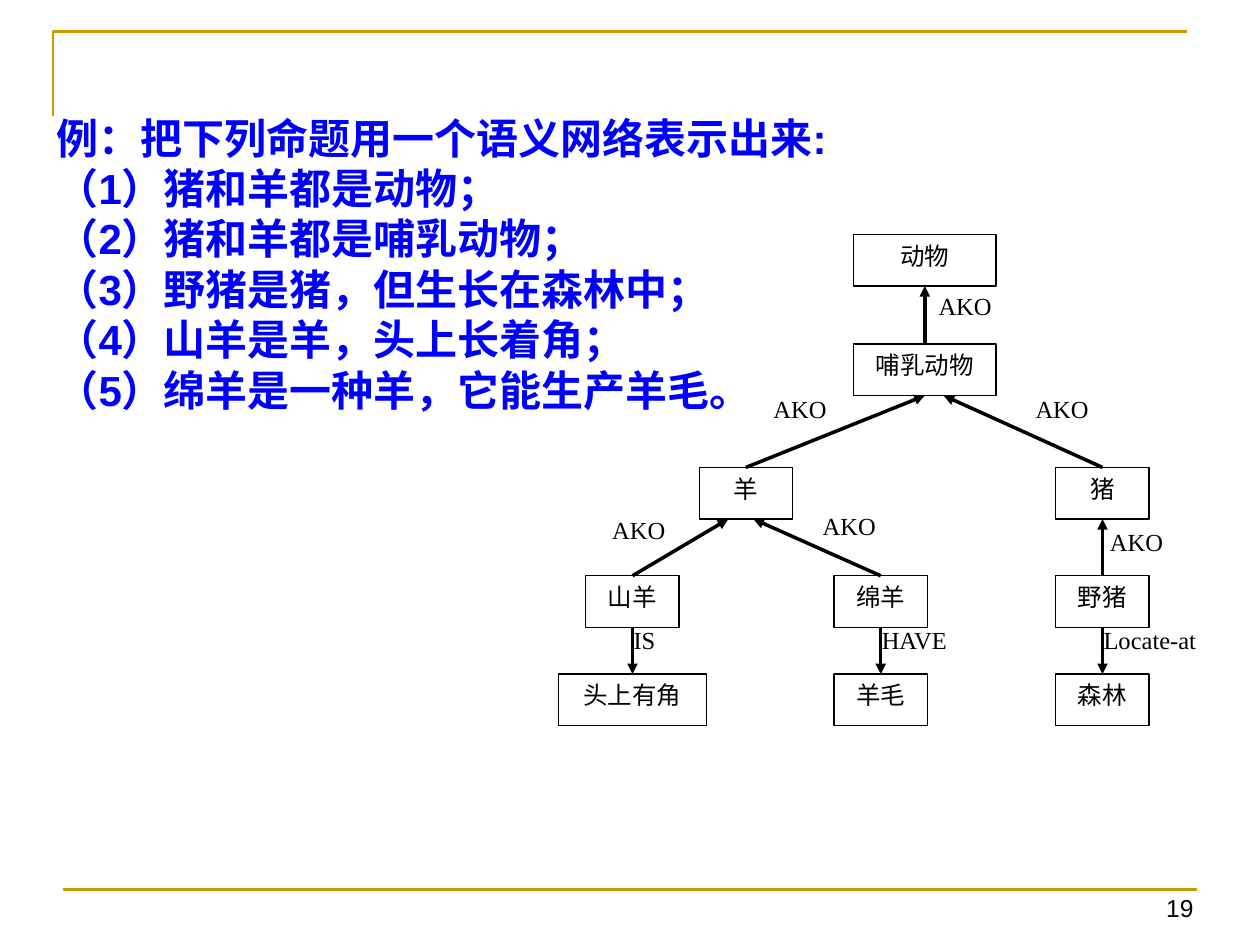
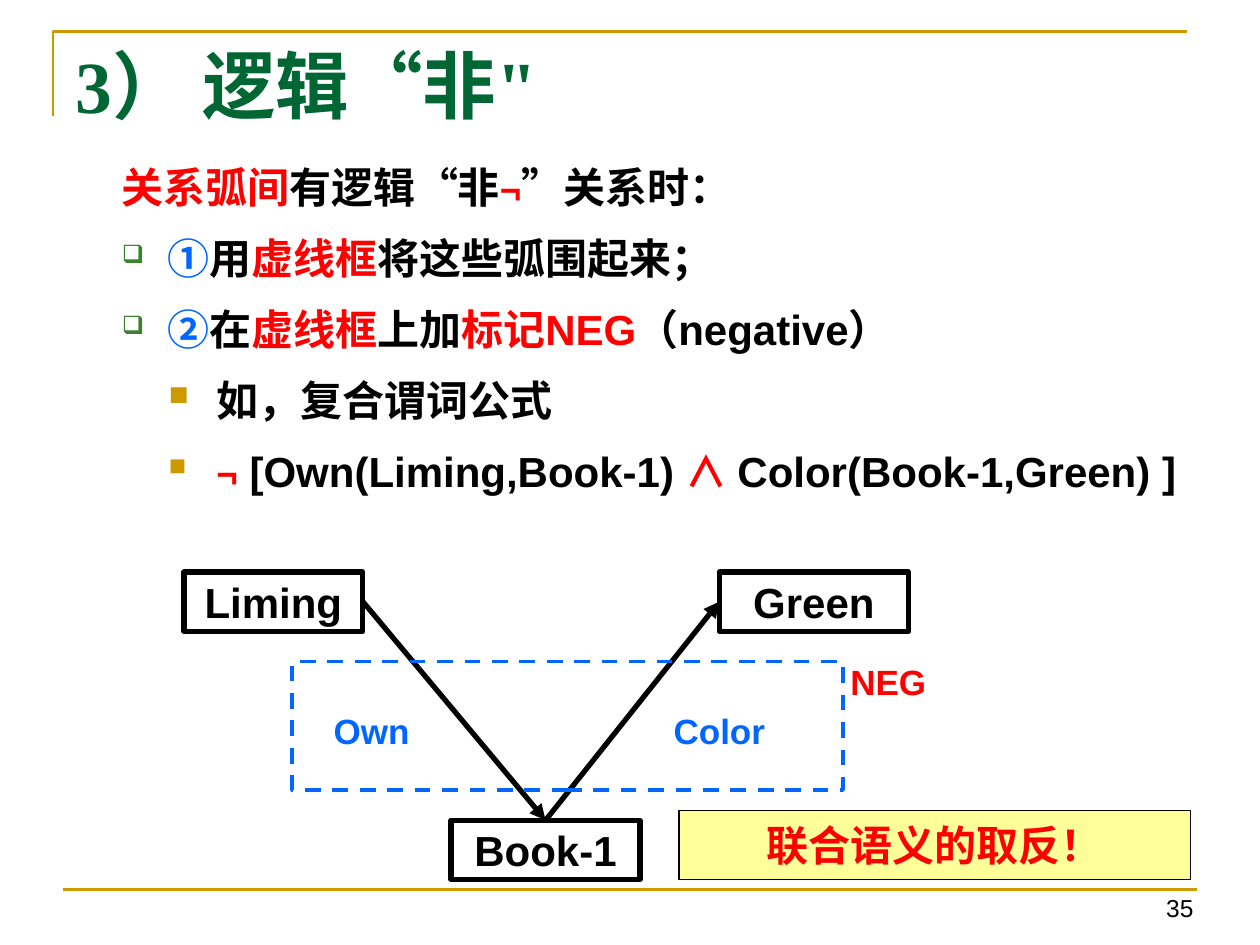
"""Build two slides on semantic networks: an example tree and logical negation."""
import dataclasses

import lxml.etree
import pptx
import pptx.dml.color
import pptx.enum.dml
import pptx.enum.lang
import pptx.enum.shapes
import pptx.enum.text
import pptx.oxml.ns
import pptx.util

Inches = pptx.util.Inches
Pt = pptx.util.Pt
ALIGN = pptx.enum.text.PP_ALIGN
ANCHOR = pptx.enum.text.MSO_ANCHOR
TOP, LEFT, BOTTOM, RIGHT = range(4)


@dataclasses.dataclass(frozen=True)
class Theme:
    gold: str = "CC9900"
    green: str = "006633"
    bullet_green: str = "3B812F"
    black: str = "000000"
    white: str = "FFFFFF"
    red: str = "FF0000"
    blue: str = "0066FF"
    deep_blue: str = "0000FF"
    yellow: str = "FFFF99"
    sans: str = "Arial"
    serif: str = "Times New Roman"
    chinese: str = "Noto Sans CJK SC"
    title_size: int = 42
    body_size: int = 24
    symbol_size: int = 21
    label_size: int = 20
    small_size: int = 14


THEME = Theme()

PROPOSITIONS = [
    "例：把下列命题用一个语义网络表示出来:",
    "（1）猪和羊都是动物；",
    "（2）猪和羊都是哺乳动物；",
    "（3）野猪是猪，但生长在森林中；",
    "（4）山羊是羊，头上长着角；",
    "（5）绵羊是一种羊，它能生产羊毛。",
]
TREE_ROWS = [1.86, 2.73, 3.71, 4.57, 5.35]
NODE_HEIGHT = 0.41
TREE_NODES = {
    "动物": (7.34, 0, 1.13),
    "哺乳动物": (7.34, 1, 1.13),
    "羊": (5.92, 2, 0.74),
    "猪": (8.75, 2, 0.74),
    "山羊": (5.02, 3, 0.74),
    "绵羊": (6.99, 3, 0.74),
    "野猪": (8.75, 3, 0.74),
    "头上有角": (5.02, 4, 1.18),
    "羊毛": (6.99, 4, 0.74),
    "森林": (8.75, 4, 0.74),
}
KIND_EDGES = [
    ("哺乳动物", "动物", 0, (7.29, 2.26)),
    ("羊", "哺乳动物", 0, (5.98, 3.08)),
    ("猪", "哺乳动物", 0.15, (8.06, 3.08)),
    ("山羊", "羊", -0.14, (4.7, 4.04)),
    ("绵羊", "羊", 0.06, (6.37, 4.01)),
    ("野猪", "猪", 0, (8.65, 4.13)),
]
PROPERTY_EDGES = [
    ("山羊", "头上有角", "IS", 0.74),
    ("绵羊", "羊毛", "HAVE", 0.98),
    ("野猪", "森林", "Locate-at", 1.22),
]

RED = {"color": THEME.red}
BLUE = {"color": THEME.blue}
NOT_SIGN = ("¬", {"color": THEME.red, "size": THEME.symbol_size})
TITLE = '3） 逻辑“非"'
RULES = [
    ("plain", [("关系弧间", RED), ("有逻辑“非", {}), NOT_SIGN, ("”关系时：", {})]),
    ("rule", [("①", BLUE), ("用", {}), ("虚线框", RED), ("将这些弧围起来；", {})]),
    ("rule", [("②", BLUE), ("在", {}), ("虚线框", RED), ("上加", {}),
              ("标记NEG", RED), ("（negative）", {})]),
    ("example", [("如，复合谓词公式", {})]),
    ("example", [NOT_SIGN, (" [Own(Liming,Book-1) ", {}),
                 ("∧ ", {"color": THEME.red, "font": THEME.chinese}),
                 ("Color(Book-1,Green) ]", {})]),
]
RULE_STYLES = {
    "plain": (0.73, -0.36, None),
    "rule": (0.73, -0.36, ("❑", THEME.bullet_green, 60)),
    "example": (1.12, -0.38, ("■", THEME.gold, 65)),
}
FACT_NODES = {
    "Liming": (1.46, 4.54, 1.42, 0.47),
    "Green": (5.71, 4.54, 1.5, 0.47),
    "Book-1": (3.58, 6.51, 1.5, 0.47),
}
FACT_EDGES = [("Liming", RIGHT, "Book-1", TOP), ("Book-1", TOP, "Green", LEFT)]
FACT_LABELS = [
    ("Own", (2.32, 5.56), THEME.blue),
    ("Color", (5.08, 5.56), THEME.blue),
    ("NEG", (6.42, 5.17), THEME.red),
]


def rgb(color):
    return pptx.dml.color.RGBColor.from_string(color)


def add_element(parent, tag, **attributes):
    return lxml.etree.SubElement(parent, pptx.oxml.ns.qn(tag), attributes)


def write_text(shape, paragraphs, *, size=THEME.body_size, font=THEME.sans, color=THEME.black,
               bold=False, align=None, anchor=ANCHOR.TOP, wrap=True):
    """Fill a shape with paragraphs, each a string or a list of (text, overrides) runs."""
    frame = shape.text_frame
    frame.word_wrap = wrap
    frame.vertical_anchor = anchor
    for index, content in enumerate(paragraphs):
        paragraph = frame.add_paragraph() if index else frame.paragraphs[0]
        paragraph.alignment = align
        for text, overrides in [(content, {})] if isinstance(content, str) else content:
            run = paragraph.add_run()
            run.text = text
            run.font.size = Pt(overrides.get("size", size))
            run.font.bold = bold
            run.font.color.rgb = rgb(overrides.get("color", color))
            run.font.name = overrides.get("font", font)
            run.font.language_id = pptx.enum.lang.MSO_LANGUAGE_ID.SIMPLIFIED_CHINESE
            add_element(run.font._element, "a:ea", typeface=THEME.chinese)
    return frame


def add_text(slide, box, paragraphs, **text_format):
    shape = slide.shapes.add_textbox(*map(Inches, box))
    return write_text(shape, paragraphs, **text_format)


def add_box(slide, box, line_width, *, line=THEME.black, fill=None, dash=None):
    shape = slide.shapes.add_shape(pptx.enum.shapes.MSO_SHAPE.RECTANGLE, *map(Inches, box))
    shape.shadow.inherit = False
    if fill:
        shape.fill.solid()
        shape.fill.fore_color.rgb = rgb(fill)
    else:
        shape.fill.background()
    shape.line.color.rgb = rgb(line)
    shape.line.width = Pt(line_width)
    if dash:
        shape.line.dash_style = dash
    return shape


def add_line(slide, start, end, width, color=THEME.black, arrow=False):
    connector = slide.shapes.add_connector(
        pptx.enum.shapes.MSO_CONNECTOR.STRAIGHT, *map(Inches, start + end))
    connector.line.color.rgb = rgb(color)
    connector.line.width = Pt(width)
    if arrow:
        add_element(connector.line._get_or_add_ln(), "a:tailEnd", type="triangle")
    add_element(connector._element.spPr, "a:effectLst")
    return connector


def join(slide, source, source_side, target, target_side, width):
    connector = add_line(slide, (0, 0), (0, 0), width, arrow=True)
    connector.begin_connect(source, source_side)
    connector.end_connect(target, target_side)


def add_base_slide(presentation, number):
    slide = presentation.slides.add_slide(presentation.slide_layouts[6])
    builder = slide.shapes.build_freeform(Inches(0.42), Inches(0.92))
    corner = [(Inches(0.42), Inches(0.25)), (Inches(9.42), Inches(0.25))]
    builder.add_line_segments(corner, close=False)
    frame_line = builder.convert_to_shape()
    frame_line.shadow.inherit = False
    frame_line.fill.background()
    frame_line.line.color.rgb = rgb(THEME.gold)
    frame_line.line.width = Pt(1.5)
    add_line(slide, (0.5, 7.06), (9.5, 7.06), 1.5, THEME.gold)
    add_text(slide, (8.55, 7.04, 1.02, 0.34), [str(number)],
             size=THEME.small_size, align=ALIGN.RIGHT)
    return slide


def build_tree_slide(presentation):
    slide = add_base_slide(presentation, 19)
    add_text(slide, (0.35, 0.84, 9.65, 2.5), PROPOSITIONS, color=THEME.deep_blue, bold=True)
    small = {"size": THEME.small_size, "font": THEME.serif}
    nodes = {}
    for name, (center, row, width) in TREE_NODES.items():
        box = (center - width / 2, TREE_ROWS[row], width, NODE_HEIGHT)
        nodes[name] = add_box(slide, box, 0, fill=THEME.white)
        write_text(nodes[name], [name], align=ALIGN.CENTER, **small)
    for child, parent, shift, label_place in KIND_EDGES:
        if shift:
            center, row, _ = TREE_NODES[parent]
            end = (center + shift, TREE_ROWS[row] + NODE_HEIGHT)
            add_line(slide, (0, 0), end, 0, arrow=True).begin_connect(nodes[child], TOP)
        else:
            join(slide, nodes[child], TOP, nodes[parent], BOTTOM, 0)
        add_text(slide, label_place + (0.74, NODE_HEIGHT), ["AKO"], align=ALIGN.CENTER, **small)
    for owner, value, label, width in PROPERTY_EDGES:
        join(slide, nodes[owner], BOTTOM, nodes[value], TOP, 0)
        box = (TREE_NODES[owner][0] - 0.09, 4.91, width, NODE_HEIGHT)
        add_text(slide, box, [label], align=ALIGN.JUSTIFY, **small)


def build_negation_slide(presentation):
    slide = add_base_slide(presentation, 35)
    add_text(slide, (0.5, 0.3, 9, 0.77), [TITLE], size=THEME.title_size, font=THEME.serif,
             color=THEME.green, bold=True, anchor=ANCHOR.BOTTOM)
    frame = add_text(slide, (0.5, 1.15, 9, 3.64), [runs for _, runs in RULES], bold=True)
    for index, (paragraph, (style, _)) in enumerate(zip(frame.paragraphs, RULES)):
        margin, indent, bullet = RULE_STYLES[style]
        properties = paragraph._p.get_or_add_pPr()
        properties.set("marL", str(Inches(margin)))
        properties.set("indent", str(Inches(indent)))
        if bullet:
            symbol, color, percent = bullet
            add_element(add_element(properties, "a:buClr"), "a:srgbClr", val=color)
            add_element(properties, "a:buSzPct", val=str(percent * 1000))
            add_element(properties, "a:buChar", char=symbol)
        paragraph.line_spacing = 1.2
        if index:
            paragraph.space_before = Pt(6)

    centered = {"bold": True, "align": ALIGN.CENTER, "anchor": ANCHOR.MIDDLE, "wrap": False}
    nodes = {}
    for name, box in FACT_NODES.items():
        nodes[name] = add_box(slide, box, 3)
        write_text(nodes[name], [name], **centered)
    for source, source_side, target, target_side in FACT_EDGES:
        join(slide, nodes[source], source_side, nodes[target], target_side, 3)
    add_box(slide, (2.32, 5.25, 4.37, 1.02), 2.25, line=THEME.blue,
            dash=pptx.enum.dml.MSO_LINE.DASH)
    for label, place, color in FACT_LABELS:
        add_text(slide, place + (1.26, 0.47), [label],
                 size=THEME.label_size, color=color, **centered)
    conclusion = add_box(slide, (5.39, 6.43, 4.06, 0.55), 0.75, fill=THEME.yellow)
    write_text(conclusion, ["联合语义的取反！"], color=THEME.red, **centered)


def main():
    presentation = pptx.Presentation()
    presentation.slide_width = Inches(10)
    presentation.slide_height = Inches(7.5)
    build_tree_slide(presentation)
    build_negation_slide(presentation)
    presentation.save("out.pptx")


if __name__ == "__main__":
    main()
